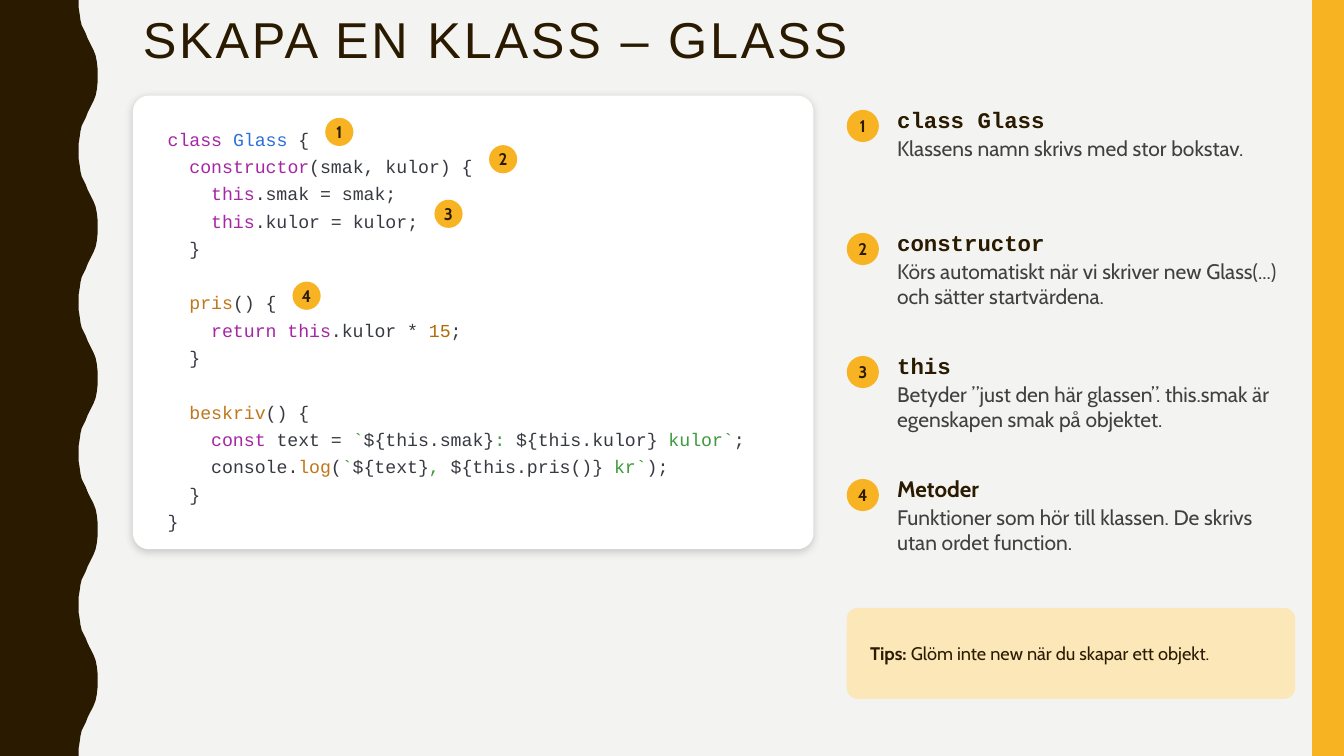
from dataclasses import dataclass

import pptx
import pptx.dml.color
import pptx.enum.shapes
import pptx.enum.text
import pptx.oxml
import pptx.oxml.ns
import pptx.util
from pptx.dml.color import RGBColor
from pptx.util import Cm

BROWN = RGBColor(0x2A, 0x1A, 0x00)
YELLOW = RGBColor(0xF8, 0xB3, 0x23)
CREAM = RGBColor(0xFB, 0xE7, 0xB8)
PAPER = RGBColor(0xF3, 0xF3, 0xF2)
WHITE = RGBColor(0xFF, 0xFF, 0xFF)
GREY = RGBColor(0x40, 0x40, 0x40)
INK = RGBColor(0x38, 0x3A, 0x42)
PURPLE = RGBColor(0xA6, 0x26, 0xA4)
BLUE = RGBColor(0x2E, 0x6F, 0xDB)
ORANGE = RGBColor(0xC0, 0x76, 0x1B)
AMBER = RGBColor(0xB2, 0x6B, 0x00)
GREEN = RGBColor(0x3F, 0x9A, 0x3E)

MONO = "Courier New"
SANS = "Cabin"
SHAPE = pptx.enum.shapes.MSO_SHAPE
ALIGN = pptx.enum.text.PP_ALIGN
ANCHOR = pptx.enum.text.MSO_ANCHOR

PAGE_WIDTH, PAGE_HEIGHT = 33.87, 19.05
CARD_LEFT, CARD_TOP = 3.35, 2.41
CARD_INSET_X, CARD_INSET_Y = 0.76, 0.56
CODE_SIZE, CODE_LEADING = 13, 19.5
CM_PER_POINT = 2.54 / 72
CHAR_WIDTH = CODE_SIZE * 0.6 * CM_PER_POINT
LINE_HEIGHT = CODE_LEADING * CM_PER_POINT
BADGE_GAP = 0.51
NOTE_LEFT, NOTE_TOP, NOTE_STEP = 21.34, 2.67, 3.1

WAVE_PERIOD = 3.81
HALF_WAVE = [
    (1.98, 0), (1.98, 0.18), (2.01, 0.36), (2.03, 0.51), (2.06, 0.64),
    (2.11, 0.74), (2.16, 0.84), (2.21, 0.97), (2.26, 1.07), (2.31, 1.17),
    (2.36, 1.27), (2.41, 1.4), (2.44, 1.55), (2.46, 1.73), (2.46, 1.9),
]

CODE = [
    [("class ", PURPLE), ("Glass ", BLUE), ("{", INK)],
    [("  ", INK), ("constructor", PURPLE), ("(smak, kulor) {", INK)],
    [("    ", INK), ("this", PURPLE), (".smak = smak;", INK)],
    [("    ", INK), ("this", PURPLE), (".kulor = kulor;", INK)],
    [("  }", INK)],
    [],
    [("  ", INK), ("pris", ORANGE), ("() {", INK)],
    [("    ", INK), ("return this", PURPLE), (".kulor * ", INK), ("15", AMBER), (";", INK)],
    [("  }", INK)],
    [],
    [("  ", INK), ("beskriv", ORANGE), ("() {", INK)],
    [("    ", INK), ("const ", PURPLE), ("text = ", INK), ("`", GREEN),
     ("${this.smak}", INK), (": ", GREEN), ("${this.kulor}", INK),
     (" kulor`", GREEN), (";", INK)],
    [("    console.", INK), ("log", ORANGE), ("(", INK), ("`", GREEN),
     ("${text}", INK), (", ", GREEN), ("${this.pris()}", INK),
     (" kr`", GREEN), (");", INK)],
    [("  }", INK)],
    [("}", INK)],
]


@dataclass(frozen=True)
class Note:
    heading: str
    heading_font: str
    body: str
    code_row: int


NOTES = [
    Note("class Glass", MONO, "Klassens namn skrivs med stor bokstav.", 0),
    Note("constructor", MONO,
         "Körs automatiskt när vi skriver new Glass(...) och sätter startvärdena.", 1),
    Note("this", MONO,
         "Betyder ”just den här glassen”. this.smak är egenskapen smak på objektet.", 3),
    Note("Metoder", SANS,
         "Funktioner som hör till klassen. De skrivs utan ordet function.", 6),
]


def add_span(para, text: str, *, size: float, font: str = SANS,
             color: RGBColor = BROWN, bold: bool = False, spacing: float = 0) -> None:
    span = para.add_run()
    span.text = text
    span.font.size = pptx.util.Pt(size)
    span.font.name = font
    span.font.color.rgb = color
    span.font.bold = bold
    if spacing:
        span.font._element.set("spc", str(int(spacing * 100)))


def set_frame(shape, inset_x: float = 0, inset_y: float = 0, anchor=ANCHOR.TOP):
    frame = shape.text_frame
    frame.word_wrap = True
    frame.margin_left = frame.margin_right = Cm(inset_x)
    frame.margin_top = frame.margin_bottom = Cm(inset_y)
    frame.vertical_anchor = anchor
    frame.paragraphs[0].alignment = ALIGN.LEFT
    return frame


def paint(shape, color: RGBColor) -> None:
    shape.shadow.inherit = False
    shape.fill.solid()
    shape.fill.fore_color.rgb = color
    shape.line.fill.background()


def add_block(page, kind, left: float, top: float, width: float, height: float,
              color: RGBColor, rounding: float = 0):
    block = page.shapes.add_shape(kind, Cm(left), Cm(top), Cm(width), Cm(height))
    paint(block, color)
    if rounding:
        block.adjustments[0] = rounding
    return block


def add_text_box(page, left: float, top: float, width: float, height: float):
    return page.shapes.add_textbox(Cm(left), Cm(top), Cm(width), Cm(height))


def add_wave(page) -> None:
    crest = HALF_WAVE + [(x, WAVE_PERIOD - y) for x, y in HALF_WAVE[-2::-1]]
    edge = [(x, y + WAVE_PERIOD * turn) for turn in range(5) for x, y in crest]
    points = [(Cm(x), Cm(y)) for x, y in edge + [(0, PAGE_HEIGHT)]]
    builder = page.shapes.build_freeform(0, 0)
    builder.add_line_segments(points, close=True)
    paint(builder.convert_to_shape(), BROWN)


def add_card_shadow(card) -> None:
    effects = card.element.spPr.find(pptx.oxml.ns.qn("a:effectLst"))
    effects.append(pptx.oxml.parse_xml(
        f'<a:outerShdw {pptx.oxml.ns.nsdecls("a")} blurRad="76200" dist="25400" '
        'dir="5400000" algn="t" rotWithShape="0"><a:srgbClr val="000000">'
        '<a:alpha val="18000"/></a:srgbClr></a:outerShdw>'))


def add_code_card(page) -> None:
    card = add_block(page, SHAPE.ROUNDED_RECTANGLE, CARD_LEFT, CARD_TOP,
                     17.15, 11.43, WHITE, 0.035)
    add_card_shadow(card)
    frame = set_frame(card, CARD_INSET_X, CARD_INSET_Y)
    for row, pieces in enumerate(CODE):
        para = frame.add_paragraph() if row else frame.paragraphs[0]
        para.alignment = ALIGN.LEFT
        para.line_spacing = pptx.util.Pt(CODE_LEADING)
        para.font.size = pptx.util.Pt(CODE_SIZE)
        for text, color in pieces:
            add_span(para, text, size=CODE_SIZE, font=MONO, color=color)


def add_badge(page, number: int, left: float, top: float, size: float) -> None:
    badge = add_block(page, SHAPE.OVAL, left, top, size, size, YELLOW)
    para = set_frame(badge, anchor=ANCHOR.MIDDLE).paragraphs[0]
    para.alignment = ALIGN.CENTER
    add_span(para, str(number), size=12, bold=True)


def add_code_badge(page, number: int, row: int) -> None:
    length = sum(len(text) for text, _ in CODE[row])
    left = CARD_LEFT + CARD_INSET_X + length * CHAR_WIDTH + BADGE_GAP
    add_badge(page, number, left, CARD_TOP + CARD_INSET_Y + row * LINE_HEIGHT, 0.71)


def add_note(page, number: int, note: Note) -> None:
    top = NOTE_TOP + (number - 1) * NOTE_STEP
    add_badge(page, number, NOTE_LEFT, top + 0.1, 0.81)
    frame = set_frame(add_text_box(page, NOTE_LEFT + 1.27, top, 10.03, 3.05))
    add_span(frame.paragraphs[0], note.heading, size=16, font=note.heading_font, bold=True)
    body = frame.add_paragraph()
    body.space_before = pptx.util.Pt(2)
    add_span(body, note.body, size=15, color=GREY)


def main() -> None:
    deck = pptx.Presentation()
    deck.slide_width, deck.slide_height = Cm(PAGE_WIDTH), Cm(PAGE_HEIGHT)
    page = deck.slides.add_slide(deck.slide_layouts[6])
    page.background.fill.solid()
    page.background.fill.fore_color.rgb = PAPER
    add_wave(page)
    add_block(page, SHAPE.RECTANGLE, 33.07, 0, 0.8, PAGE_HEIGHT, YELLOW)

    title = set_frame(add_text_box(page, 3.35, 0.23, 30.25, 1.65), 0.25, 0.13, ANCHOR.MIDDLE)
    title.paragraphs[0].line_spacing = 0.9
    add_span(title.paragraphs[0], "SKAPA EN KLASS – GLASS", size=36, font="Arial", spacing=2)

    add_code_card(page)
    for number, note in enumerate(NOTES, 1):
        add_code_badge(page, number, note.code_row)
    for number, note in enumerate(NOTES, 1):
        add_note(page, number, note)

    tip = add_block(page, SHAPE.ROUNDED_RECTANGLE, NOTE_LEFT, 15.32, 11.3, 2.29, CREAM, 0.12)
    para = set_frame(tip, 0.51, 0.2, ANCHOR.MIDDLE).paragraphs[0]
    add_span(para, "Tips: ", size=13, bold=True)
    add_span(para, "Glöm inte new när du skapar ett objekt.", size=13)
    deck.save("out.pptx")


if __name__ == "__main__":
    main()
